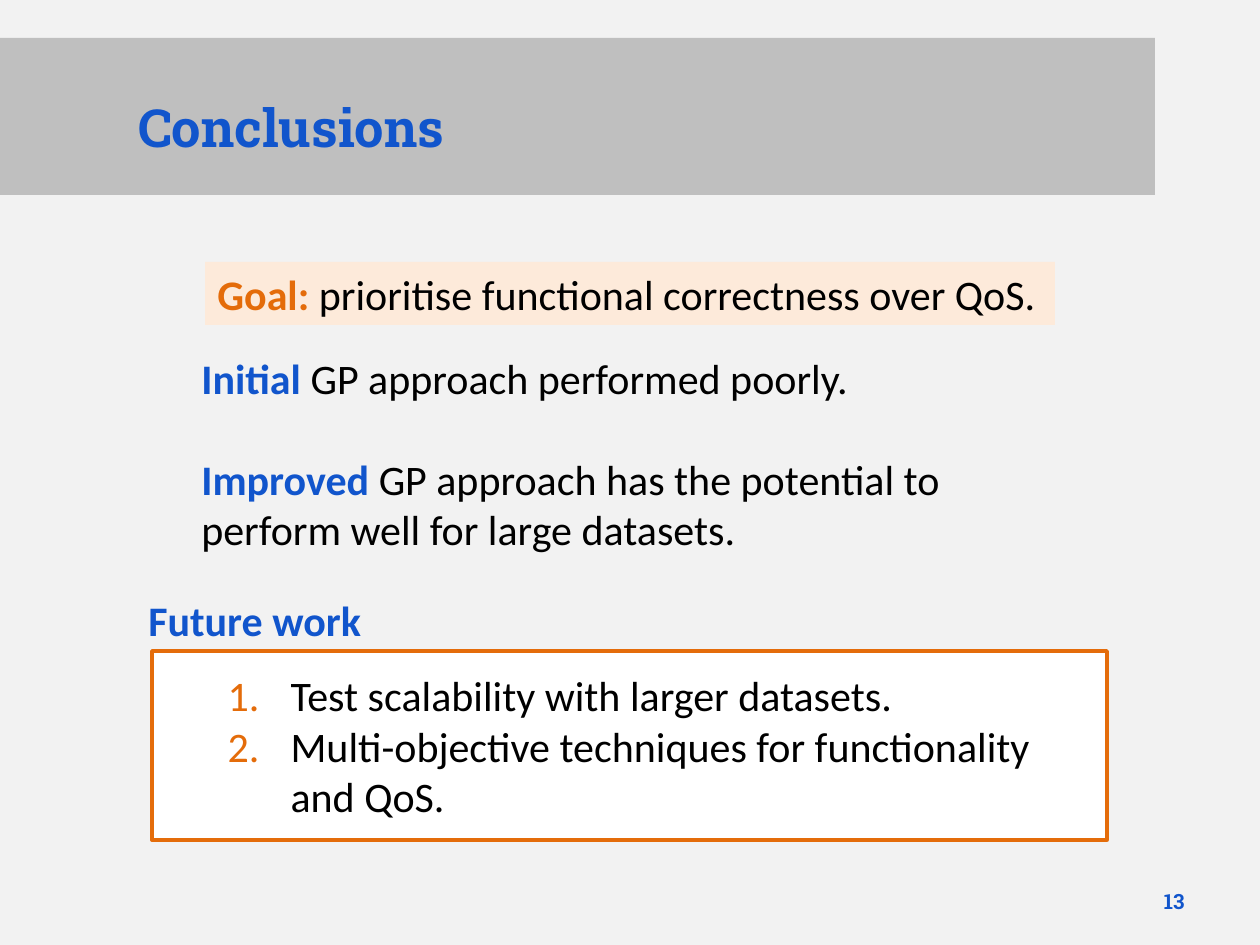
from lxml.etree import SubElement
from pptx import Presentation
from pptx.dml.color import RGBColor
from pptx.enum.shapes import MSO_SHAPE
from pptx.enum.text import MSO_ANCHOR, MSO_AUTO_SIZE, PP_ALIGN
from pptx.oxml.ns import qn
from pptx.util import Emu, Pt

EMU_PER_PX = 914400 / 126

BACKGROUND = RGBColor(0xF2, 0xF2, 0xF2)
BAND = RGBColor(0xBF, 0xBF, 0xBF)
PEACH = RGBColor(0xFD, 0xEA, 0xDA)
ORANGE = RGBColor(0xE4, 0x6C, 0x0A)
BLUE = RGBColor(0x11, 0x55, 0xCC)
BLACK = RGBColor(0, 0, 0)
WHITE = RGBColor(0xFF, 0xFF, 0xFF)

BODY_FONT = "Calibri"
HEADING_FONT = "Roboto Slab"


def px(length):
    return Emu(round(length * EMU_PER_PX))


def place(shape, left, top, width, height):
    shape.left, shape.top = px(left), px(top)
    shape.width, shape.height = px(width), px(height)


def fill_solid(shape, color):
    shape.fill.solid()
    shape.fill.fore_color.rgb = color


def set_font(font, size, color, name=BODY_FONT, bold=False):
    font.name, font.size, font.bold = name, Pt(size), bold
    font.color.rgb = color


def add_lead_text(para, lead, rest, lead_color):
    """Write a bold coloured lead followed by plain black text."""
    para.alignment = PP_ALIGN.LEFT
    para.font.name, para.font.size = BODY_FONT, Pt(24)
    for text, color, bold in ((lead, lead_color, True), (rest, BLACK, False)):
        span = para.add_run()
        span.text = text
        set_font(span.font, 24, color, bold=bold)


def add_title(page, text):
    title = page.shapes.title
    place(title, 0, 38, 1155, 157)
    fill_solid(title, BAND)
    frame = title.text_frame
    frame.text = text
    frame.auto_size = MSO_AUTO_SIZE.NONE
    frame.vertical_anchor = MSO_ANCHOR.MIDDLE
    frame.margin_left, frame.margin_top = px(138), px(26)
    para = frame.paragraphs[0]
    para.alignment = PP_ALIGN.LEFT
    set_font(para.font, 30, BLUE, HEADING_FONT, bold=True)


def add_text_box(page, left, top, width, height):
    box = page.shapes.add_textbox(*map(px, (left, top, width, height)))
    box.text_frame.word_wrap = True
    return box.text_frame


def add_goal(page):
    box = page.shapes.add_shape(MSO_SHAPE.RECTANGLE, *map(px, (205, 262, 850, 63)))
    box.shadow.inherit = False
    fill_solid(box, PEACH)
    box.line.fill.background()
    frame = box.text_frame
    frame.word_wrap = True
    frame.vertical_anchor = MSO_ANCHOR.TOP
    add_lead_text(frame.paragraphs[0], "Goal: ",
                  "prioritise functional correctness over QoS.", ORANGE)


def add_findings(page):
    frame = add_text_box(page, 189, 346, 882, 217)
    initial, improved = frame.paragraphs[0], frame.add_paragraph()
    add_lead_text(initial, "Initial", " GP approach performed poorly.", BLUE)
    add_lead_text(improved, "Improved", " GP approach has the potential to "
                  "perform well for large datasets.", BLUE)
    improved.space_before = Pt(29)


def add_future_heading(page):
    frame = add_text_box(page, 136, 588, 239, 63)
    frame.word_wrap = False
    frame.auto_size = MSO_AUTO_SIZE.SHAPE_TO_FIT_TEXT
    para = frame.paragraphs[0]
    para.text = "Future work"
    set_font(para.font, 24, BLUE, bold=True)


def number_paragraph(para, color):
    """Give the paragraph a hanging automatic number in the given colour."""
    props = para._p.get_or_add_pPr()
    props.set("marL", str(px(126)))
    props.set("indent", str(px(-63)))
    bullet_color = SubElement(props, qn("a:buClr"))
    SubElement(bullet_color, qn("a:srgbClr"), val=str(color))
    SubElement(props, qn("a:buFont"), typeface="+mj-lt")
    SubElement(props, qn("a:buAutoNum"), type="arabicPeriod")


def add_future_list(page, items):
    body = page.placeholders[1]
    place(body, 152, 651, 955, 189)
    fill_solid(body, WHITE)
    body.line.color.rgb = ORANGE
    body.line.width = Pt(2)
    frame = body.text_frame
    frame.text = "\n".join(items)
    frame.auto_size = MSO_AUTO_SIZE.NONE
    frame.vertical_anchor = MSO_ANCHOR.MIDDLE
    for para in frame.paragraphs:
        para.level = 1
        para.space_before = Pt(0)
        number_paragraph(para, ORANGE)
        set_font(para.font, 24, BLACK)


def add_page_number(page, number):
    frame = add_text_box(page, 1134, 876, 63, 50)
    frame.vertical_anchor = MSO_ANCHOR.MIDDLE
    para = frame.paragraphs[0]
    para.text = number
    para.alignment = PP_ALIGN.RIGHT
    set_font(para.font, 12, BLUE, HEADING_FONT, bold=True)


def main():
    deck = Presentation()
    deck.slide_width, deck.slide_height = px(1260), px(945)
    page = deck.slides.add_slide(deck.slide_layouts[1])
    page.background.fill.solid()
    page.background.fill.fore_color.rgb = BACKGROUND

    add_title(page, "Conclusions")
    add_goal(page)
    add_findings(page)
    add_future_heading(page)
    add_future_list(page, ["Test scalability with larger datasets.",
                           "Multi-objective techniques for functionality and QoS."])
    add_page_number(page, "13")
    deck.save("out.pptx")


if __name__ == "__main__":
    main()
